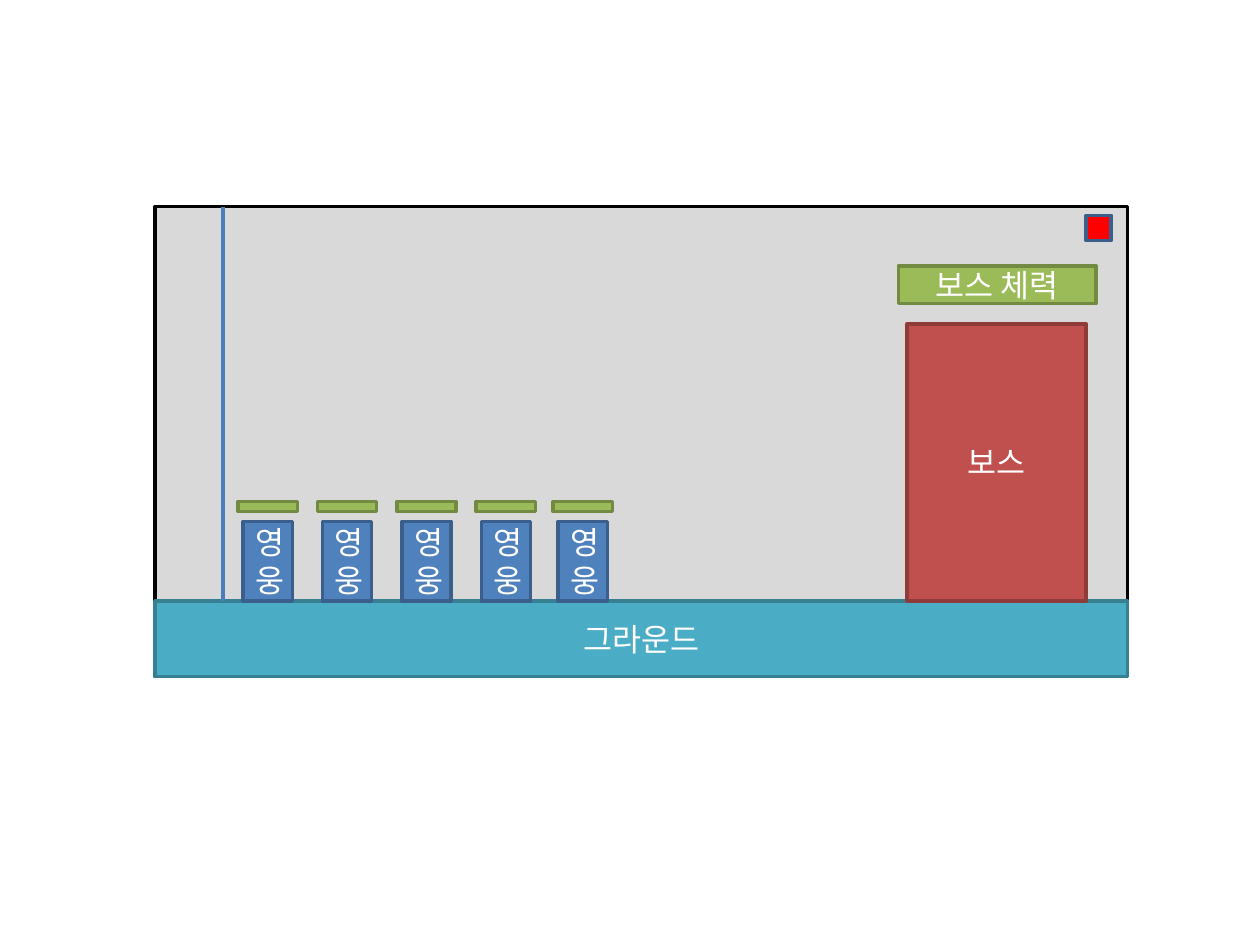
"""Build a slide with the layout of a boss battle screen."""
from lxml.etree import SubElement
from pptx import Presentation
from pptx.dml.color import RGBColor
from pptx.enum.shapes import MSO_CONNECTOR as Connector, MSO_SHAPE as Shape
from pptx.enum.text import MSO_ANCHOR as Anchor, PP_ALIGN as Align
from pptx.oxml.ns import qn
from pptx.util import Inches, Pt

FONT = "Noto Sans CJK KR"
WHITE = RGBColor(0xFF, 0xFF, 0xFF)
BLACK = RGBColor(0x00, 0x00, 0x00)
GRAY = RGBColor(0xD9, 0xD9, 0xD9)
TEAL = RGBColor(0x4B, 0xAC, 0xC6)
DARK_TEAL = RGBColor(0x37, 0x7F, 0x92)
BRICK = RGBColor(0xC0, 0x50, 0x4D)
DARK_BRICK = RGBColor(0x8E, 0x3B, 0x39)
BLUE = RGBColor(0x4F, 0x81, 0xBD)
DARK_BLUE = RGBColor(0x3A, 0x5F, 0x8C)
LINE_BLUE = RGBColor(0x4B, 0x7E, 0xBC)
GREEN = RGBColor(0x9B, 0xBB, 0x59)
DARK_GREEN = RGBColor(0x73, 0x8A, 0x42)
RED = RGBColor(0xFF, 0x00, 0x00)

SCREEN_LEFT, SCREEN_TOP, SCREEN_WIDTH = 1.23, 1.64, 7.72
GROUND_TOP, GROUND_HEIGHT = 4.77, 0.6
HERO_WIDTH, HERO_HEIGHT = 0.39, 0.63
HEALTH_WIDTH, HEALTH_HEIGHT = 0.47, 0.08
HERO_LEFTS = [1.93, 2.56, 3.19, 3.82, 4.43]

deck = Presentation()
deck.slide_width, deck.slide_height = Inches(10), Inches(7.5)
page = deck.slides.add_slide(deck.slide_layouts[6])


def add_box(text, *, left, top, width, height, fill, line):
    box = page.shapes.add_shape(
        Shape.RECTANGLE, Inches(left), Inches(top), Inches(width), Inches(height))
    box.shadow.inherit = False
    box.fill.solid()
    box.fill.fore_color.rgb = fill
    box.line.color.rgb = line
    box.line.width = Pt(2)
    if text:
        frame = box.text_frame
        frame.word_wrap = True
        frame.vertical_anchor = Anchor.MIDDLE
        para = frame.paragraphs[0]
        para.alignment = Align.CENTER
        span = para.add_run()
        span.text = text
        span.font.size = Pt(18)
        span.font.color.rgb = WHITE
        span.font.name = FONT
        SubElement(span.font._element, qn("a:ea"), typeface=FONT)


add_box("", left=SCREEN_LEFT, top=SCREEN_TOP, width=SCREEN_WIDTH,
        height=GROUND_TOP + GROUND_HEIGHT - SCREEN_TOP, fill=GRAY, line=BLACK)
add_box("그라운드", left=SCREEN_LEFT, top=GROUND_TOP, width=SCREEN_WIDTH,
        height=GROUND_HEIGHT, fill=TEAL, line=DARK_TEAL)
add_box("보스", left=7.2, top=2.57, width=1.42, height=2.2,
        fill=BRICK, line=DARK_BRICK)

for hero_left in HERO_LEFTS:
    add_box("영웅", left=hero_left, top=GROUND_TOP - HERO_HEIGHT, width=HERO_WIDTH,
            height=HERO_HEIGHT, fill=BLUE, line=DARK_BLUE)
    add_box("", left=hero_left - (HEALTH_WIDTH - HERO_WIDTH) / 2, top=3.98,
            width=HEALTH_WIDTH, height=HEALTH_HEIGHT, fill=GREEN, line=DARK_GREEN)

boundary = page.shapes.add_connector(
    Connector.STRAIGHT, Inches(1.77), Inches(SCREEN_TOP), Inches(1.77), Inches(GROUND_TOP))
boundary.line.color.rgb = LINE_BLUE
boundary.line.width = Pt(2.25)
SubElement(boundary._element.spPr, qn("a:effectLst"))

add_box("보스 체력", left=7.13, top=2.11, width=1.57, height=0.3,
        fill=GREEN, line=DARK_GREEN)
add_box("", left=8.62, top=1.71, width=0.2, height=0.2, fill=RED, line=DARK_BLUE)

deck.save("out.pptx")
